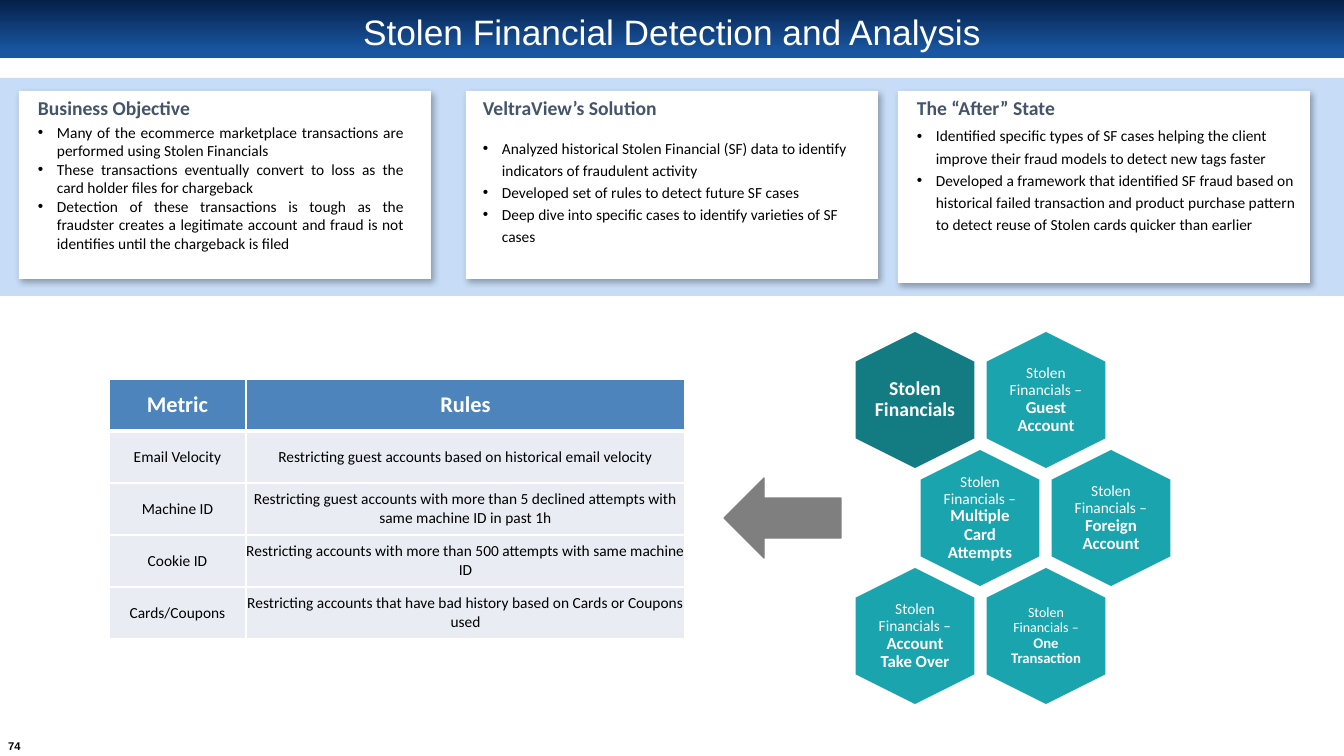
from lxml.etree import SubElement
from pptx import Presentation
from pptx.dml.color import RGBColor
from pptx.enum.shapes import MSO_SHAPE as Shape
from pptx.enum.text import MSO_ANCHOR as Anchor, PP_ALIGN as Align
from pptx.oxml.ns import qn
from pptx.util import Pt

EMU_PER_PX = 914400 / 100.8
WHITE, BLACK, SLATE = "FFFFFF", "000000", "44546A"
TEAL, DARK_TEAL, GREY = "1AA4AD", "137B82", "7F7F7F"

CARDS = [
    (19, 9, 188, "Business Objective", 118, 386, Align.JUSTIFY, 1.0, [
        "Many of the ecommerce marketplace transactions are performed using Stolen Financials",
        "These transactions eventually convert to loss as the card holder files for chargeback",
        "Detection of these transactions is tough as the fraudster creates a legitimate account "
        "and fraud is not identifies until the chargeback is filed"]),
    (466, 7, 188, "VeltraView’s Solution", 130, 399, Align.LEFT, 1.2, [
        "Analyzed historical Stolen Financial (SF) data to identify indicators of fraudulent activity",
        "Developed set of rules to detect future SF cases",
        "Deep dive into specific cases to identify varieties of SF cases"]),
    (898, 9, 192, "The “After” State", 118, 399, Align.LEFT, 1.2, [
        "Identified specific types of SF cases helping the client improve their fraud models "
        "to detect new tags faster",
        "Developed a framework that identified SF fraud based on historical failed transaction "
        "and product purchase pattern to detect reuse of Stolen cards quicker than earlier"]),
]
RULES = [
    ("Metric", "Rules"),
    ("Email Velocity", "Restricting guest accounts based on historical email velocity"),
    ("Machine ID", "Restricting guest accounts with more than 5 declined attempts "
                   "with same machine ID in past 1h"),
    ("Cookie ID", "Restricting accounts with more than 500 attempts with same machine ID"),
    ("Cards/Coupons", "Restricting accounts that have bad history based on Cards or Coupons used"),
]
PREFIX = "Stolen Financials – "
HEXAGONS = [
    (0, 0, DARK_TEAL, 0, [("Stolen Financials", 14, True)]),
    (0, 1, TEAL, 5, [(PREFIX, 11, False), ("Guest Account", 12, True)]),
    (1, 0, TEAL, 5, [(PREFIX, 11, False), ("Multiple Card Attempts", 12, True)]),
    (1, 1, TEAL, 0, [(PREFIX, 11, False), ("Foreign Account", 12, True)]),
    (2, 0, TEAL, 0, [(PREFIX, 11, False), ("Account Take Over", 12, True)]),
    (2, 1, TEAL, 4, [(PREFIX, 10, False), ("One Transaction", 10.5, True)]),
]


def px(length):
    """Turn px into EMU."""
    return round(length * EMU_PER_PX)


def rgb(code):
    """Turn a hex string into a colour."""
    return RGBColor.from_string(code)


def set_font(font, size, color, bold=False, name="Calibri"):
    """Set the look of a paragraph or run font."""
    font.size, font.bold, font.name = Pt(size), bold, name
    font.color.rgb = rgb(color)


def add_shape(page, kind, bounds, fill, line=None):
    """Add a flat preset shape."""
    shape = page.shapes.add_shape(kind, *map(px, bounds))
    shape.shadow.inherit = False
    shape.fill.solid()
    shape.fill.fore_color.rgb = rgb(fill)
    if line:
        shape.line.color.rgb = rgb(line)
        shape.line.width = Pt(1)
    else:
        shape.line.fill.background()
    return shape


def add_box(page, bounds, anchor=Anchor.TOP, inset=None):
    """Add a wrapping text box and return its frame."""
    frame = page.shapes.add_textbox(*map(px, bounds)).text_frame
    frame.word_wrap, frame.vertical_anchor = True, anchor
    if inset is not None:
        frame.margin_left = frame.margin_right = px(inset)
        frame.margin_top = frame.margin_bottom = px(inset)
    return frame


def write(para, text, size, color, bold=False, name="Calibri", align=Align.LEFT):
    """Fill a paragraph with text of one style."""
    para.text, para.alignment = text, align
    set_font(para.font, size, color, bold, name)


def add_label(page, bounds, text, size, color, bold=False, name="Calibri",
              align=Align.LEFT, anchor=Anchor.TOP, inset=None):
    """Add a box with a single paragraph."""
    frame = add_box(page, bounds, anchor, inset)
    write(frame.paragraphs[0], text, size, color, bold, name, align)


def add_banner(page):
    """Add the gradient title bar."""
    fill = add_shape(page, Shape.RECTANGLE, (0, 0, 1344, 58), WHITE).fill
    fill.gradient()
    fill.gradient_angle = 270
    for stop, position, color in zip(fill.gradient_stops, (0, 0.9), ("052049", "1957A3")):
        stop.position, stop.color.rgb = position, rgb(color)
    add_label(page, (69, 9, 1206, 45), "Stolen Financial Detection and Analysis",
              25.2, WHITE, name="Arial", align=Align.CENTER, anchor=Anchor.MIDDLE)


def add_shadow(shape):
    """Give a shape a soft shadow to the lower right."""
    effects = shape._element.spPr.find(qn("a:effectLst"))
    shadow = SubElement(effects, qn("a:outerShdw"), blurRad=str(Pt(4.5)), dist=str(Pt(2.6)),
                        dir=str(53 * 60000), algn="tl", rotWithShape="0")
    color = SubElement(shadow, qn("a:srgbClr"), val=BLACK)
    SubElement(color, qn("a:alpha"), val="30000")


def add_bullet(para):
    """Give a paragraph a hanging round bullet."""
    props = para._p.get_or_add_pPr()
    props.set("marL", str(px(19)))
    props.set("indent", str(-px(19)))
    SubElement(props, qn("a:buFont"), typeface="Arial")
    SubElement(props, qn("a:buChar"), char="•")


def add_card(page, left, pad, height, heading, top, width, align, spacing, points):
    """Add a white card with a heading and bullets."""
    add_shadow(add_shape(page, Shape.RECTANGLE, (left, 91, 412, height), WHITE))
    add_label(page, (left + pad, 91, 279, 34), heading, 14, SLATE, bold=True)
    frame = add_box(page, (left + pad, top, width, 140))
    for index, point in enumerate(points):
        para = frame.add_paragraph() if index else frame.paragraphs[0]
        add_bullet(para)
        para.line_spacing = spacing
        write(para, point, 11, BLACK, align=align)


def add_borders(cell, bottom):
    """Draw white lines around a cell."""
    props = cell._tc.get_or_add_tcPr()
    for side, width in zip("LRTB", (1, 1, 1, bottom)):
        line = SubElement(props, qn(f"a:ln{side}"), w=str(Pt(width)))
        SubElement(SubElement(line, qn("a:solidFill")), qn("a:srgbClr"), val=WHITE)


def add_rules_table(page):
    """Add the table of metrics and rules."""
    table = page.shapes.add_table(len(RULES), 2, *map(px, (109, 379, 576, 260))).table
    table.first_row = table.horz_banding = False
    for column, width in zip(table.columns, (137, 439)):
        column.width = px(width)
    for row, texts in enumerate(RULES):
        table.rows[row].height = px(52)
        head = row == 0
        for column, text in enumerate(texts):
            cell = table.cell(row, column)
            cell.margin_left = cell.margin_right = cell.margin_top = cell.margin_bottom = 0
            cell.vertical_anchor = Anchor.MIDDLE
            add_borders(cell, 3 if head else 1)
            cell.fill.solid()
            cell.fill.fore_color.rgb = rgb("4D84BC" if head else "E9EDF3")
            write(cell.text_frame.paragraphs[0], text, 16 if head else 11,
                  WHITE if head else BLACK, head, align=Align.CENTER)


def add_hexagon(page, row, column, fill, inset, spans):
    """Add one upright hexagon of the honeycomb with its label."""
    middle_x = 915 + 131 * column + 65 * (row % 2)
    middle_y = 400 + 118 * row
    hexagon = add_shape(page, Shape.HEXAGON, (middle_x - 69, middle_y - 60, 138, 120), fill, WHITE)
    hexagon.rotation = 90
    hexagon.adjustments[0] = 0.25
    frame = add_box(page, (middle_x - 42, middle_y - 48, 84, 96), Anchor.MIDDLE, inset)
    para = frame.paragraphs[0]
    para.alignment, para.line_spacing = Align.CENTER, 0.9
    for text, size, bold in spans:
        span = para.add_run()
        span.text = text
        set_font(span.font, size, WHITE, bold)


def main():
    """Build the slide and save it."""
    deck = Presentation()
    deck.slide_width, deck.slide_height = px(1344), px(756)
    page = deck.slides.add_slide(deck.slide_layouts[6])
    add_banner(page)
    add_label(page, (2, 736, 25, 19), "74", 8, BLACK, True, "Arial",
              Align.CENTER, Anchor.MIDDLE, 0)
    add_shape(page, Shape.RECTANGLE, (0, 78, 1344, 218), "C7DCF6")
    for card in CARDS:
        add_card(page, *card)
    add_rules_table(page)
    for hexagon in HEXAGONS:
        add_hexagon(page, *hexagon)
    add_shape(page, Shape.RIGHT_ARROW, (724, 478, 117, 80), GREY, GREY).rotation = 180
    deck.save("out.pptx")


if __name__ == "__main__":
    main()
